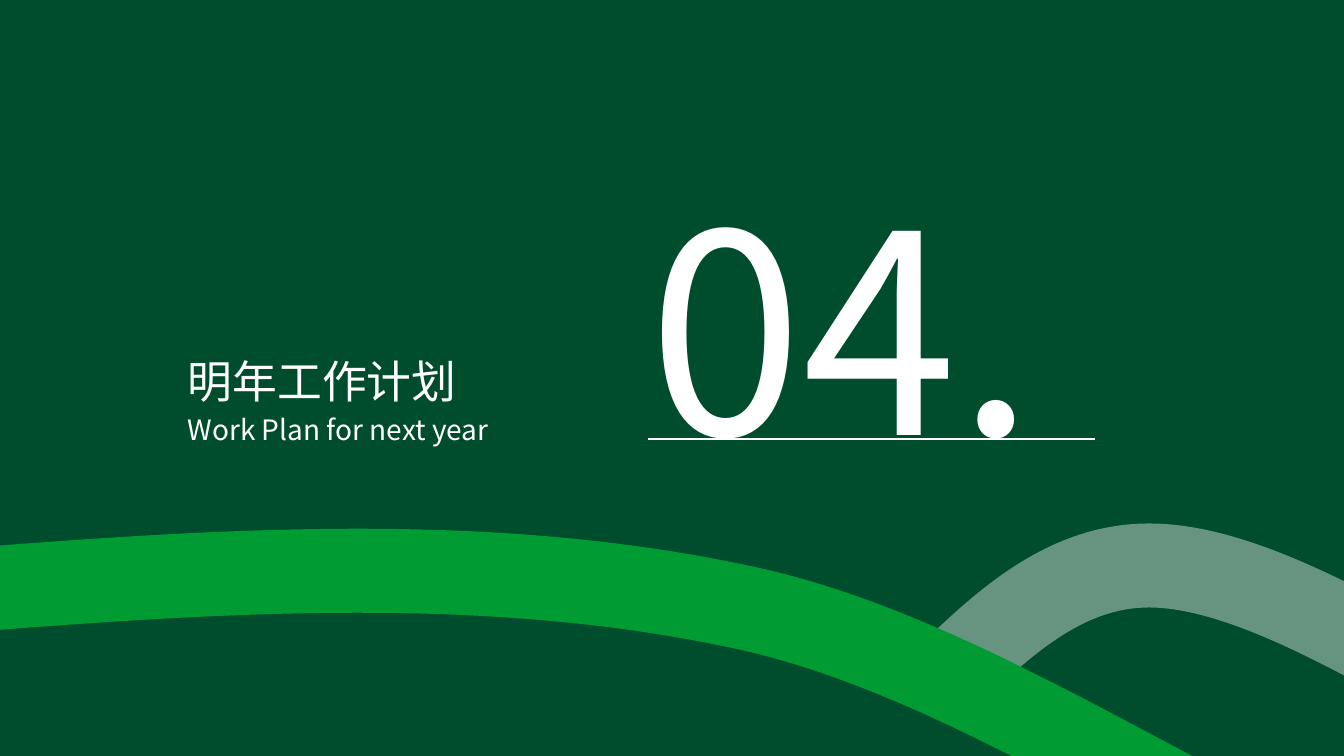
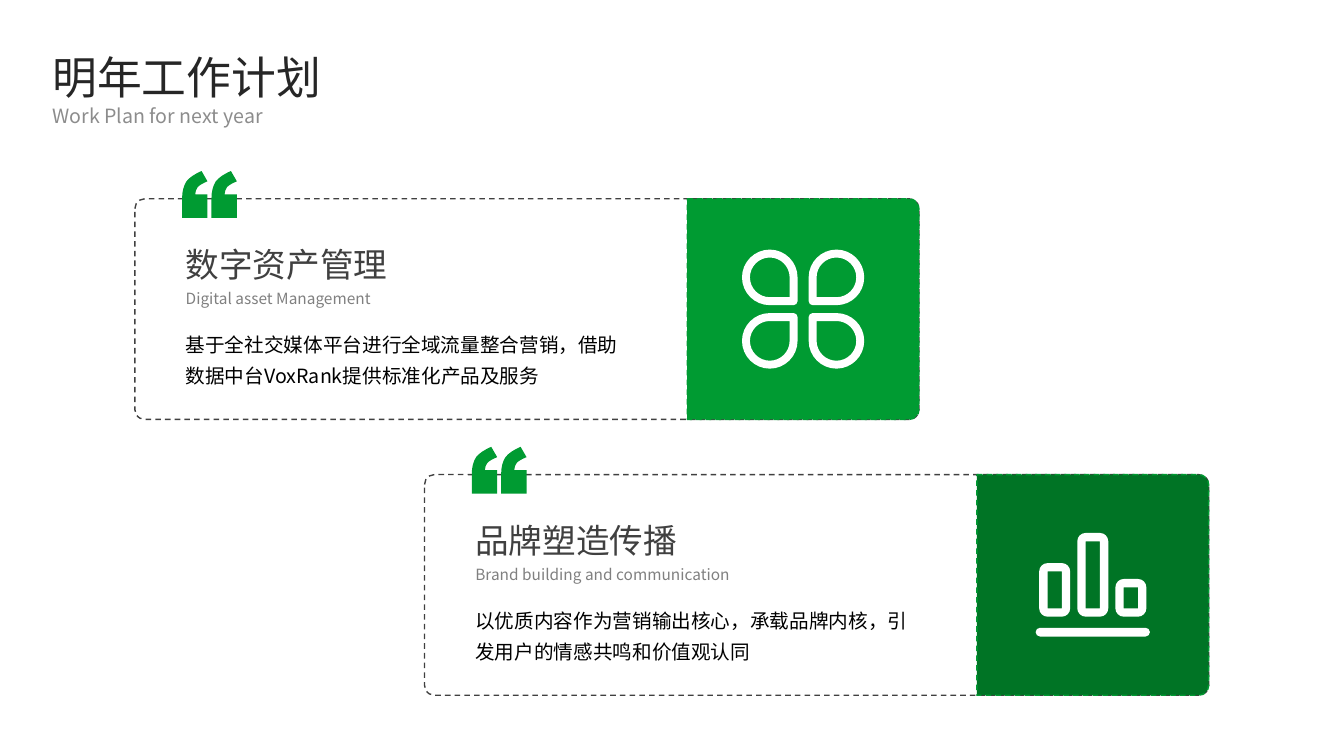
from dataclasses import dataclass
from typing import Callable, Optional

from lxml import etree
from pptx import Presentation
from pptx.dml.color import RGBColor
from pptx.enum.dml import MSO_LINE
from pptx.enum.shapes import MSO_CONNECTOR, MSO_SHAPE
from pptx.enum.text import MSO_ANCHOR
from pptx.oxml.ns import qn
from pptx.shapes.autoshape import Shape
from pptx.slide import Slide
from pptx.util import Cm, Pt

WHITE = RGBColor(0xFF, 0xFF, 0xFF)
BLACK = RGBColor(0x00, 0x00, 0x00)
INK = RGBColor(0x26, 0x26, 0x26)
GRAPHITE = RGBColor(0x40, 0x40, 0x40)
GRAY = RGBColor(0x80, 0x80, 0x80)
DEEP_GREEN = RGBColor(0x00, 0x4D, 0x2E)
GREEN = RGBColor(0x00, 0x9B, 0x32)
MID_GREEN = RGBColor(0x00, 0x74, 0x25)

BODY_FONT = "Noto Sans CJK JP"
NUMBER_FONT = "Noto Sans CJK SC"
TOP, MIDDLE = MSO_ANCHOR.TOP, MSO_ANCHOR.MIDDLE
DASH = MSO_LINE.DASH
RECTANGLE, ROUNDED = MSO_SHAPE.RECTANGLE, MSO_SHAPE.ROUNDED_RECTANGLE
STRAIGHT = MSO_CONNECTOR.STRAIGHT

# Every number below that gives a place or a size is in centimetres.
SLIDE_WIDTH, SLIDE_HEIGHT = 33.87, 19.05
CARD_WIDTH, CARD_HEIGHT = 19.76, 5.56
PANEL_WIDTH = 5.84
CORNER = 0.25
ARC = 0.45  # distance of a control point from the corner, as a share of the radius
TEXT_INDENT = 1.1
NO_INSET, CARD_INSET = (0, 0), (0.18, 0.09)
TITLE = "明年工作计划"
SUBTITLE = "Work Plan for next year"

Point = tuple[float, float]
# A path step holds one point for a line, or three for a Bézier curve.
Step = tuple[Point, ...]
Contour = list[Step]

GRAY_RIBBON: Contour = [
    ((23.44, 17.5),),
    ((25.08, 15.88), (26.72, 14.25), (28.96, 14.25)),
    ((31.17, 14.25), (33.99, 15.84), (36.8, 17.43)),
]
GREEN_RIBBON: Contour = [
    ((-1.72, 14.94),),
    ((5.2, 14.4), (12.13, 13.87), (18.79, 15.32)),
    ((25.45, 16.76), (32, 22.33), (38.26, 23.59)),
]
QUOTE_MARK: Contour = [
    ((0.49, 0),),
    ((0.64, 0.26),),
    ((0.52, 0.31), (0.43, 0.36), (0.39, 0.41)),
    ((0.36, 0.46), (0.33, 0.51), (0.33, 0.59)),
    ((0.64, 0.59),),
    ((0.64, 1.18),),
    ((0, 1.18),),
    ((0, 0.69),),
    ((0, 0.51), (0.04, 0.37), (0.11, 0.26)),
    ((0.19, 0.16), (0.31, 0.08), (0.49, 0)),
]
QUOTE_GAP = 0.74


@dataclass(frozen=True)
class TextStyle:
    size: float
    color: RGBColor
    font: str = BODY_FONT
    anchor: MSO_ANCHOR = TOP
    inset: Point = NO_INSET
    line_spacing: Optional[float] = None
    opacity: Optional[int] = None


@dataclass(frozen=True)
class Card:
    left: float
    top: float
    heading: str
    caption: str
    body: str
    panel_color: RGBColor
    icon: Callable[[], list[Contour]]


SECTION_NUMBER = TextStyle(199, WHITE, NUMBER_FONT, MIDDLE)
SECTION_TITLE = TextStyle(32, WHITE)
SECTION_SUBTITLE = TextStyle(20, WHITE)
PAGE_TITLE = TextStyle(32, INK)
PAGE_SUBTITLE = TextStyle(14, GRAPHITE, opacity=60)
CARD_HEADING = TextStyle(24, GRAPHITE, anchor=MIDDLE, inset=CARD_INSET)
CARD_CAPTION = TextStyle(11, GRAY, anchor=MIDDLE, inset=CARD_INSET)
CARD_BODY = TextStyle(14, BLACK, inset=CARD_INSET, line_spacing=1.3)


def set_opacity(element: etree._Element, percent: int) -> None:
    """Make the first colour inside the element partly transparent."""
    color = element.find(".//" + qn("a:srgbClr"))
    etree.SubElement(color, qn("a:alpha"), val=str(percent * 1000))


def add_text(slide: Slide, left: float, top: float, width: float, height: float,
             text: str, style: TextStyle) -> None:
    box = slide.shapes.add_textbox(Cm(left), Cm(top), Cm(width), Cm(height))
    frame = box.text_frame
    frame.word_wrap = True
    frame.vertical_anchor = style.anchor
    frame.margin_left = frame.margin_right = Cm(style.inset[0])
    frame.margin_top = frame.margin_bottom = Cm(style.inset[1])
    frame.text = text
    paragraph = frame.paragraphs[0]
    if style.line_spacing:
        paragraph.line_spacing = style.line_spacing
    run = paragraph.runs[0]
    run.font.size = Pt(style.size)
    run.font.name = style.font
    run.font.color.rgb = style.color
    properties = run._r.get_or_add_rPr()
    etree.SubElement(properties, qn("a:ea"), typeface=style.font)
    if style.opacity:
        set_opacity(properties, style.opacity)


def paint(shape: Shape, fill: Optional[RGBColor] = None,
          line: Optional[RGBColor] = None, line_width: float = 1,
          dash: Optional[MSO_LINE] = None) -> None:
    shape.shadow.inherit = False
    if fill is None:
        shape.fill.background()
    else:
        shape.fill.solid()
        shape.fill.fore_color.rgb = fill
    if line is None:
        shape.line.fill.background()
    else:
        shape.line.color.rgb = line
        shape.line.width = Pt(line_width)
        if dash is not None:
            shape.line.dash_style = dash


def add_preset(slide: Slide, kind: MSO_SHAPE, left: float, top: float,
               width: float, height: float) -> Shape:
    return slide.shapes.add_shape(kind, Cm(left), Cm(top), Cm(width), Cm(height))


def moved(contour: Contour, left: float, top: float,
          scale_x: float = 1, scale_y: float = 1) -> Contour:
    """Scale or mirror a contour about its origin, then shift it."""
    return [tuple((left + x * scale_x, top + y * scale_y) for x, y in step)
            for step in contour]


def add_outline(slide: Slide, contours: list[Contour], closed: bool = True) -> Shape:
    """Draw contours as one freeform with true Bézier curves."""
    builder = None
    for contour in contours:
        points = [(Cm(x), Cm(y)) for step in contour for x, y in step]
        if builder is None:
            builder = slide.shapes.build_freeform(*points[0])
        else:
            builder.move_to(*points[0])
        builder.add_line_segments(points[1:], close=closed)
    shape = builder.convert_to_shape()
    segments = iter(list(shape._element.iter(qn("a:lnTo"))))
    for step in (step for contour in contours for step in contour[1:]):
        first, *others = [next(segments) for _ in step]
        if others:
            first.tag = qn("a:cubicBezTo")
        for segment in others:
            first.append(segment[0])
            segment.getparent().remove(segment)
    return shape


def add_ribbon(slide: Slide, contour: Contour, color: RGBColor,
               opacity: Optional[int] = None) -> None:
    ribbon = add_outline(slide, [contour], closed=False)
    paint(ribbon, line=color, line_width=60)
    if opacity:
        set_opacity(ribbon.line._get_or_add_ln(), opacity)


def rounded_box(width: float, height: float, radii: tuple[float, ...]) -> Contour:
    """Outline a box; radii run clockwise from the top left, 0 for a sharp corner."""
    corners = ((0, 0, 0, -1, 1, 0), (width, 0, -1, 0, 0, 1),
               (width, height, 0, 1, -1, 0), (0, height, 1, 0, 0, -1))
    contour: Contour = []
    for (x, y, in_x, in_y, out_x, out_y), radius in zip(corners, radii):
        # The path enters each corner from one side and leaves along the next.
        if (x, y) == (0, 0):
            in_y = 1
        elif (x, y) == (width, height):
            in_y = -1
        bend = radius * ARC
        contour.append(((x + in_x * radius, y + in_y * radius),))
        if radius:
            contour.append(((x + in_x * bend, y + in_y * bend),
                            (x + out_x * bend, y + out_y * bend),
                            (x + out_x * radius, y + out_y * radius)))
    return contour


def petal_contours() -> list[Contour]:
    size, stroke, gap_x, gap_y = 1.4, 0.2, 0.14, 0.1
    inner_size = size - 2 * stroke
    outer = rounded_box(size, size, (0.1, size / 2, size / 2, size / 2))
    hole = rounded_box(inner_size, inner_size,
                       (0, inner_size / 2, inner_size / 2, inner_size / 2))
    petal = [outer, moved(hole, stroke, stroke)]
    return [moved(contour, side_x * gap_x, side_y * gap_y, side_x, side_y)
            for side_y in (-1, 1) for side_x in (-1, 1) for contour in petal]


def bar_contours() -> list[Contour]:
    width, step, stroke, bottom = 0.78, 0.96, 0.21, 0.8
    contours = []
    for index, height in enumerate((1.35, 2.11, 0.95)):
        left, top = (index - 1) * step - width / 2, bottom - height
        outer = rounded_box(width, height, (stroke,) * 4)
        hole = rounded_box(width - 2 * stroke, height - 2 * stroke, (0,) * 4)
        contours += [moved(outer, left, top), moved(hole, left + stroke, top + stroke)]
    base_width, base_height = 2.88, 0.22
    base = rounded_box(base_width, base_height, (base_height / 2,) * 4)
    return contours + [moved(base, -base_width / 2, 1.08)]


def add_card(slide: Slide, card: Card) -> None:
    left, top = card.left, card.top
    frame = add_preset(slide, ROUNDED, left, top, CARD_WIDTH, CARD_HEIGHT)
    frame.adjustments[0] = CORNER / CARD_HEIGHT
    paint(frame, line=GRAPHITE, dash=DASH)
    text_left = left + TEXT_INDENT
    add_text(slide, text_left, top + 1.19, 8.18, 0.91, card.heading, CARD_HEADING)
    add_text(slide, text_left, top + 3.12, 11.73, 1.8, card.body, CARD_BODY)
    add_text(slide, text_left, top + 2.16, 8.18, 0.69, card.caption, CARD_CAPTION)
    quote = add_outline(slide, [moved(QUOTE_MARK, left + 1.19 + shift, top - 0.7)
                                for shift in (0, QUOTE_GAP)])
    paint(quote, fill=GREEN)
    panel_left = left + CARD_WIDTH - PANEL_WIDTH
    panel_contour = rounded_box(PANEL_WIDTH, CARD_HEIGHT, (0, CORNER, CORNER, 0))
    panel = add_outline(slide, [moved(panel_contour, panel_left, top)])
    paint(panel, fill=card.panel_color, line=GREEN, dash=DASH)
    center_x, center_y = panel_left + PANEL_WIDTH / 2, top + CARD_HEIGHT / 2
    icon = add_outline(slide, [moved(contour, center_x, center_y)
                               for contour in card.icon()])
    paint(icon, fill=WHITE)


CARDS = [
    Card(3.4, 5.01, "数字资产管理", "Digital asset Management",
         "基于全社交媒体平台进行全域流量整合营销，借助数据中台VoxRank提供标准化产品及服务",
         GREEN, petal_contours),
    Card(10.7, 11.96, "品牌塑造传播", "Brand building and communication",
         "以优质内容作为营销输出核心，承载品牌内核，引发用户的情感共鸣和价值观认同",
         MID_GREEN, bar_contours),
]


def build_section_slide(slide: Slide) -> None:
    backdrop = add_preset(slide, RECTANGLE, 0, 0, SLIDE_WIDTH, SLIDE_HEIGHT)
    paint(backdrop, fill=DEEP_GREEN)
    add_ribbon(slide, GRAY_RIBBON, WHITE, opacity=40)
    add_ribbon(slide, GREEN_RIBBON, GREEN)
    add_text(slide, 16.34, 3.91, 10.6, 8.51, "04.", SECTION_NUMBER)
    rule = slide.shapes.add_connector(STRAIGHT, Cm(16.34), Cm(11.06), Cm(27.6), Cm(11.06))
    rule.line.color.rgb = WHITE
    rule.line.width = Pt(1.5)
    etree.SubElement(rule._element.spPr, qn("a:effectLst"))
    add_text(slide, 4.73, 8.91, 7.24, 1.37, TITLE, SECTION_TITLE)
    add_text(slide, 4.73, 10.4, 9.22, 0.86, SUBTITLE, SECTION_SUBTITLE)


def build_plan_slide(slide: Slide) -> None:
    add_text(slide, 1.32, 1.25, 6.81, 1.37, TITLE, PAGE_TITLE)
    add_text(slide, 1.32, 2.62, 8.03, 0.61, SUBTITLE, PAGE_SUBTITLE)
    for card in CARDS:
        add_card(slide, card)


def main() -> None:
    presentation = Presentation()
    presentation.slide_width = Cm(SLIDE_WIDTH)
    presentation.slide_height = Cm(SLIDE_HEIGHT)
    blank = presentation.slide_layouts[6]
    for build in (build_section_slide, build_plan_slide):
        build(presentation.slides.add_slide(blank))
    presentation.save("out.pptx")


if __name__ == "__main__":
    main()
